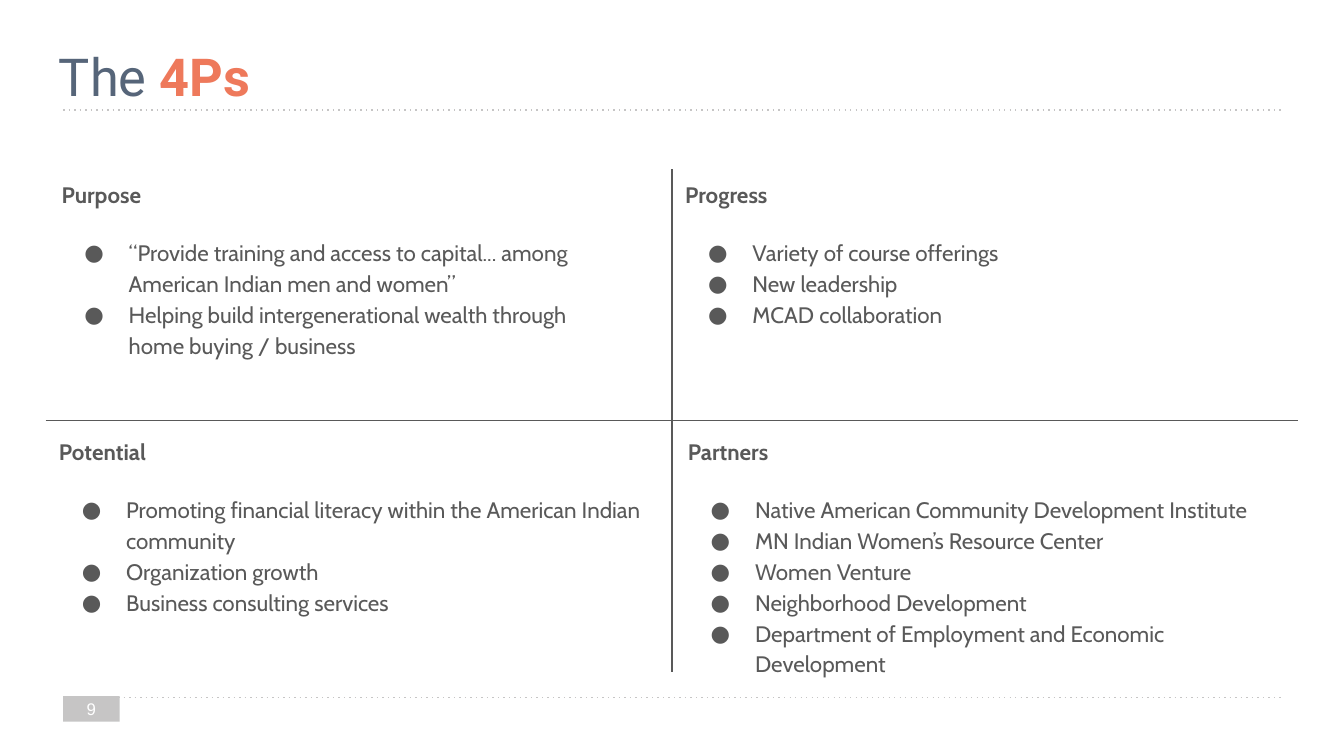
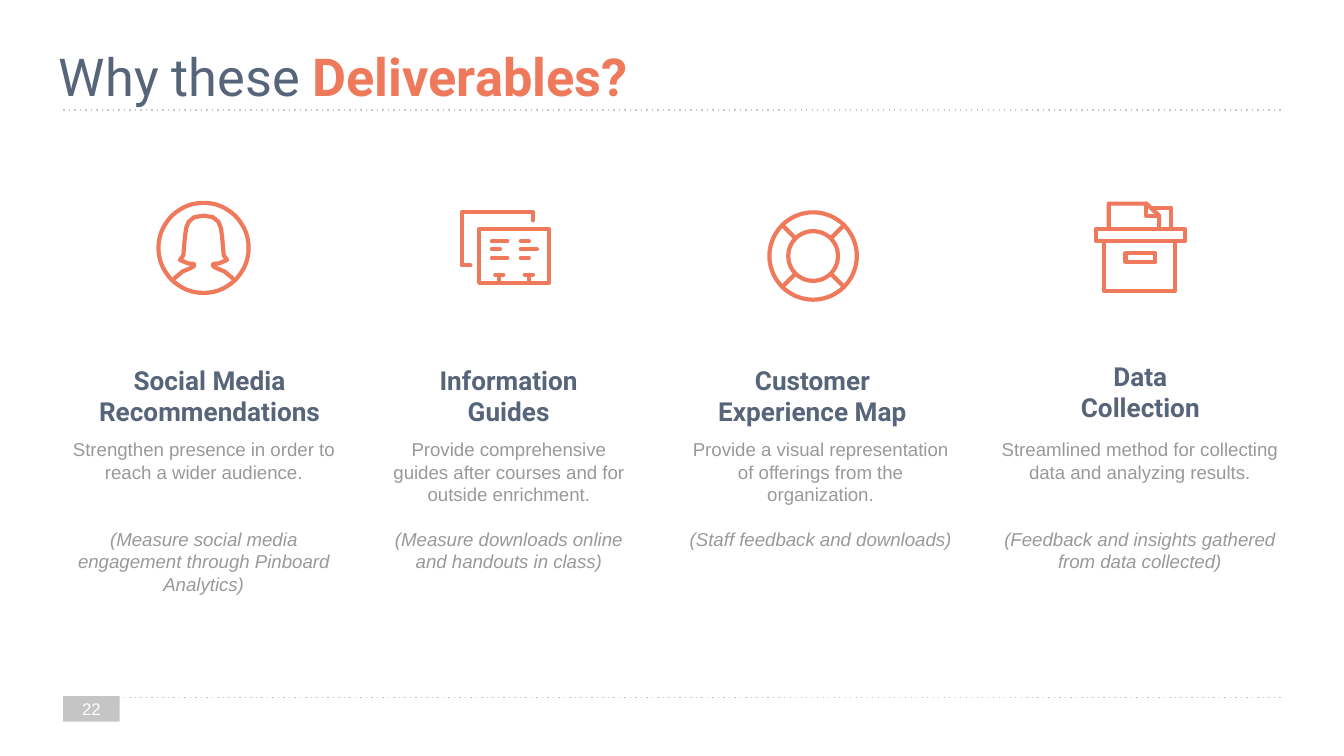
from dataclasses import dataclass
from math import cos, pi, sin

from lxml import etree
from pptx import Presentation
from pptx import util as u
from pptx.dml.color import RGBColor
from pptx.enum import shapes, text
from pptx.oxml.ns import qn

NAVY, CORAL, RULE_GREY, INK, GREY, WHITE = (
    "566579", "EE795B", "C6C5C5", "595959", "999999", "FFFFFF")
CENTER = text.PP_ALIGN.CENTER
TOP, MIDDLE = text.MSO_ANCHOR.TOP, text.MSO_ANCHOR.MIDDLE

# Font formats; "color" is a hex string, the rest are font attributes
TITLE = {"name": "Roboto", "size": u.Pt(28), "color": NAVY}
ACCENT = TITLE | {"color": CORAL, "bold": True}
PAGE = {"name": "Arial", "size": u.Pt(9), "color": WHITE}
POINT = {"name": "Cabin", "size": u.Pt(12), "color": INK}
HEADING = POINT | {"bold": True}
NAME = {"name": "Roboto", "size": u.Pt(14), "color": NAVY, "bold": True}
REASON = {"name": "Arial", "size": u.Pt(10), "color": GREY}
MEASURE = REASON | {"italic": True}

Contour = tuple[list[tuple[float, float]], bool]  # points, closed


@dataclass
class Para:
    runs: list[tuple[str, dict]]
    align: text.PP_ALIGN | None = None
    before: float = 0
    bullet: bool = False


@dataclass
class Quadrant:
    heading: str
    box: tuple[float, float, float, float]
    points: list[str]


@dataclass
class Deliverable:
    name: list[str]
    name_box: tuple[float, float, float, float]
    reason: str
    measure: str
    reason_span: tuple[float, float]  # left, width
    gap: float  # points between reason and measure
    icon_at: tuple[float, float]
    icon: list[Contour]


def rgb(color: str) -> RGBColor:
    return RGBColor.from_string(color)


def add_bullet(paragraph) -> None:
    properties = paragraph._p.get_or_add_pPr()
    properties.set("marL", str(u.Inches(0.5)))
    properties.set("indent", str(u.Inches(-0.33)))
    color = etree.SubElement(properties, qn("a:buClr"))
    etree.SubElement(color, qn("a:srgbClr"), val=INK)
    etree.SubElement(properties, qn("a:buFont"), typeface=POINT["name"])
    etree.SubElement(properties, qn("a:buChar"), char="●")
    paragraph.line_spacing = 1.15


def add_text(slide, box: tuple, paras: list[Para], anchor=TOP) -> None:
    frame = slide.shapes.add_textbox(*map(u.Inches, box)).text_frame
    frame.word_wrap = True
    frame.vertical_anchor = anchor
    for side in ("left", "top", "right", "bottom"):
        setattr(frame, f"margin_{side}", u.Inches(0.1))
    for index, para in enumerate(paras):
        paragraph = frame.add_paragraph() if index else frame.paragraphs[0]
        if para.bullet:
            add_bullet(paragraph)
        if para.align is not None:
            paragraph.alignment = para.align
        if para.before:
            paragraph.space_before = u.Pt(para.before)
        for words, style in para.runs:
            run = paragraph.add_run()
            run.text = words
            for key, value in style.items():
                if key == "color":
                    run.font.color.rgb = rgb(value)
                else:
                    setattr(run.font, key, value)


def add_rule(slide, start: tuple, end: tuple, color: str, dotted: bool = False) -> None:
    rule = slide.shapes.add_connector(
        shapes.MSO_CONNECTOR.STRAIGHT, *map(u.Inches, start + end))
    rule.line.color.rgb = rgb(color)
    rule.line.width = u.Pt(0.75)
    properties = rule._element.spPr
    if dotted:
        etree.SubElement(properties.find(qn("a:ln")), qn("a:prstDash"), val="dot")
    etree.SubElement(properties, qn("a:effectLst"))


# Icon outlines, in hundredths of an inch from the icon's corner
def ring(x: float, y: float, radius: float) -> Contour:
    angles = [2 * pi * step / 72 for step in range(72)]
    return [(x + radius * cos(a), y + radius * sin(a)) for a in angles], True


def frame_of(left: float, top: float, right: float, bottom: float) -> Contour:
    return [(left, top), (right, top), (right, bottom), (left, bottom)], True


def dash(x1: float, x2: float, y: float) -> Contour:
    return [(x1, y), (x2, y)], False


def person_icon() -> list[Contour]:
    half = [(14, 57), (20, 52), (26, 49.5), (28.5, 48), (28.5, 46.5), (24, 46),
            (18, 43.5), (20.5, 40), (21.5, 28), (22.5, 20), (24.5, 15),
            (28.5, 11.7), (35.5, 10.5)]
    mirrored = [(71 - x, y) for x, y in reversed(half[:-1])]
    return [ring(35.5, 34.5, 33.5), (half + mirrored, False)]


def guides_icon() -> list[Contour]:
    back = [(8, 41.5), (1.5, 41.5), (1.5, 2), (54.5, 2), (54.5, 8)]
    contours = [(back, False), frame_of(14.5, 14.5, 66.5, 54.5)]
    for y, left_end, right_end in ((23.5, 35.5, 51.5), (29.5, 30, 57.5), (36, 35.5, 51.5)):
        contours += [dash(24, left_end, y), dash(45.5, right_end, y)]
    for x in (29.5, 51.5):
        contours += [dash(x - 3, x + 3, 48.5), ([(x, 48.5), (x, 54.5)], False)]
    return contours


def lifebuoy_icon() -> list[Contour]:
    x, y, inner, outer = 34, 34.5, 18.5, 32.5
    spokes = [([(x + r * cos(a), y + r * sin(a)) for r in (inner, outer)], False)
              for a in (pi / 4 + quarter * pi / 2 for quarter in range(4))]
    return [ring(x, y, outer), ring(x, y, inner)] + spokes


def archive_icon() -> list[Contour]:
    sheet = [(11, 20.5), (11, 1.5), (39, 1.5), (48.5, 10.5), (48.5, 20.5)]
    fold = [(39, 1.5), (39, 10.5), (48.5, 10.5)]
    folder = [(44, 4.5), (57.5, 4.5), (57.5, 20.5)]
    return [frame_of(1.5, 20.5, 67.5, 29.5), frame_of(7.5, 29.5, 60.5, 66.5),
            frame_of(23.5, 38.5, 45.5, 45),
            (sheet, False), (fold, False), (folder, False)]


def add_icon(slide, at: tuple[float, float], contours: list[Contour]) -> None:
    builder = None
    for points, closed in contours:
        points = [(x * 10, y * 10) for x, y in points]
        if builder is None:
            builder = slide.shapes.build_freeform(*points[0], scale=u.Inches(1) / 1000)
        else:
            builder.move_to(*points[0])
        builder.add_line_segments(points[1:], close=closed)
    icon = builder.convert_to_shape(*map(u.Inches, at))
    icon.shadow.inherit = False
    icon.fill.background()
    icon.line.color.rgb = rgb(CORAL)
    icon.line.width = u.Pt(2.25)
    outline = icon._element.spPr.find(qn("a:ln"))
    outline.set("cap", "rnd")
    etree.SubElement(outline, qn("a:round"))


def new_slide(deck, lead: str, accent: str, number: str):
    """Add a slide with the shared rules, page tab and title."""
    slide = deck.slides.add_slide(deck.slide_layouts[6])
    for y in (5.19, 0.82):
        add_rule(slide, (0.47, y), (9.53, y), RULE_GREY, dotted=True)
    tab_box = (0.47, 5.18, 0.42, 0.19)
    tab = slide.shapes.add_shape(shapes.MSO_SHAPE.RECTANGLE, *map(u.Inches, tab_box))
    tab.shadow.inherit = False
    tab.fill.solid()
    tab.fill.fore_color.rgb = rgb(RULE_GREY)
    tab.line.fill.background()
    add_text(slide, (0.34, 0.23, 9.32, 0.51), [Para([(lead, TITLE), (accent, ACCENT)])])
    add_text(slide, tab_box, [Para([(number, PAGE)], CENTER)], MIDDLE)
    return slide


QUADRANTS = [
    Quadrant("Purpose", (0.36, 1.25, 4.26, 1.88), [
        "“Provide training and access to capital... among American Indian men and women”",
        "Helping build intergenerational wealth through home buying / business"]),
    Quadrant("Progress", (5, 1.25, 4.64, 1.88), [
        "Variety of course offerings", "New leadership", "MCAD collaboration"]),
    Quadrant("Potential", (0.34, 3.16, 4.64, 1.88), [
        "Promoting financial literacy within the American Indian community",
        "Organization growth", "Business consulting services"]),
    Quadrant("Partners", (5.02, 3.16, 4.64, 1.88), [
        "Native American Community Development Institute",
        "MN Indian Women’s Resource Center", "Women Venture",
        "Neighborhood Development",
        "Department of Employment and Economic Development"]),
]

DELIVERABLES = [
    Deliverable(["Social Media Recommendations"], (0.63, 2.67, 1.86, 0.55),
                "Strengthen presence in order to reach a wider audience.",
                "(Measure social media engagement through Pinboard Analytics)",
                (0.39, 2.25), 24, (1.16, 1.5), person_icon()),
    Deliverable(["Information Guides"], (2.97, 2.67, 1.63, 0.55),
                "Provide comprehensive guides after courses and for outside enrichment.",
                "(Measure downloads online and handouts in class)",
                (2.81, 1.95), 12, (3.42, 1.56), guides_icon()),
    Deliverable(["Customer Experience Map"], (5.07, 2.67, 1.95, 0.55),
                "Provide a visual representation of offerings from the organization.",
                "(Staff feedback and downloads)",
                (4.99, 2.23), 12, (5.71, 1.56), lifebuoy_icon()),
    Deliverable(["Data", "Collection"], (7.67, 2.67, 1.63, 0.49),
                "Streamlined method for collecting data and analyzing results.",
                "(Feedback and insights gathered from data collected)",
                (7.28, 2.4), 24, (8.14, 1.5), archive_icon()),
]


def build_four_ps(deck) -> None:
    slide = new_slide(deck, "The ", "4Ps", "9")
    add_rule(slide, (5, 1.26), (5, 5), INK)
    add_rule(slide, (0.34, 3.13), (9.66, 3.13), INK)
    for quadrant in QUADRANTS:
        points = [Para([(point, POINT)], before=0 if index else 14.5, bullet=True)
                  for index, point in enumerate(quadrant.points)]
        add_text(slide, quadrant.box, [Para([(quadrant.heading, HEADING)])] + points)


def build_deliverables(deck) -> None:
    slide = new_slide(deck, "Why these ", "Deliverables?", "22")
    for item in DELIVERABLES:
        add_icon(slide, item.icon_at, item.icon)
        add_text(slide, item.name_box,
                 [Para([(line, NAME)], CENTER) for line in item.name], MIDDLE)
        left, width = item.reason_span
        add_text(slide, (left, 3.16, width, 0.67), [
            Para([(item.reason, REASON)], CENTER),
            Para([(item.measure, MEASURE)], CENTER, before=item.gap)])


def main() -> None:
    deck = Presentation()
    deck.slide_width = u.Inches(10)
    deck.slide_height = deck.slide_width * 9 // 16
    build_four_ps(deck)
    build_deliverables(deck)
    deck.save("out.pptx")


if __name__ == "__main__":
    main()
